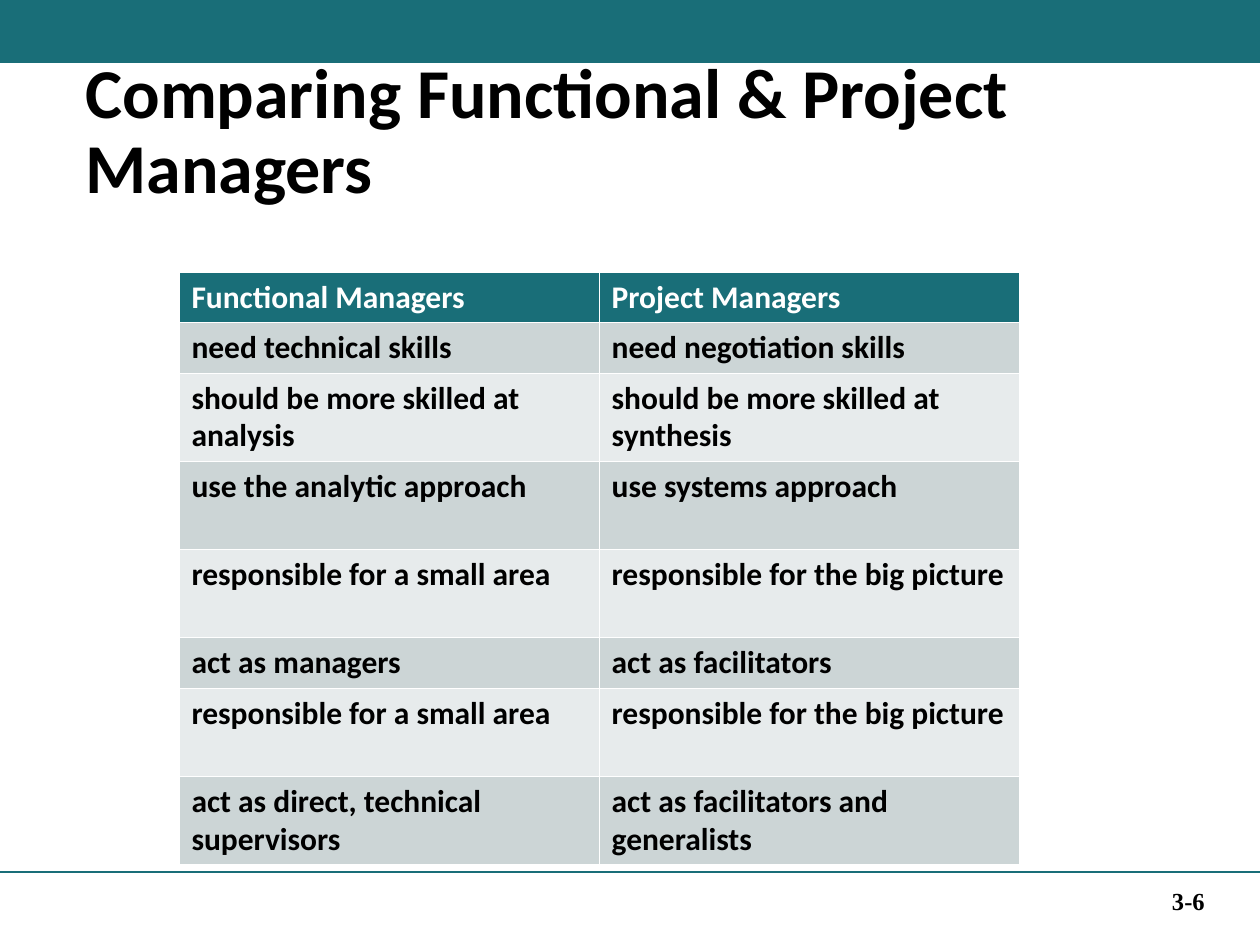
from lxml import etree
from pptx import Presentation
from pptx.dml.color import RGBColor
from pptx.enum.shapes import MSO_CONNECTOR, MSO_SHAPE
from pptx.enum.text import MSO_ANCHOR, PP_ALIGN
from pptx.oxml.ns import qn
from pptx.util import Inches, Pt

TEAL = RGBColor(0x19, 0x6E, 0x78)
WHITE = RGBColor(0xFF, 0xFF, 0xFF)
BLACK = RGBColor(0x00, 0x00, 0x00)
BAND_DARK = RGBColor(0xCC, 0xD5, 0xD6)
BAND_LIGHT = RGBColor(0xE7, 0xEB, 0xEC)

RECTANGLE = MSO_SHAPE.RECTANGLE
STRAIGHT = MSO_CONNECTOR.STRAIGHT
MIDDLE = MSO_ANCHOR.MIDDLE
TOP = MSO_ANCHOR.TOP
LEFT = PP_ALIGN.LEFT
RIGHT = PP_ALIGN.RIGHT

TITLE_FONT = {"name": "Calibri", "size": Pt(40), "bold": True}
CELL_FONT = {"name": "Calibri", "size": Pt(18), "bold": True}
NUMBER_FONT = {"name": "Times New Roman", "size": Pt(14), "bold": True}

SHORT_ROW, TALL_ROW = 0.4, 0.7
THIN, MEDIUM = 0.23, 0.75

# Row height, functional managers, project managers
COMPARISON = [
    (SHORT_ROW, "Functional Managers", "Project Managers"),
    (SHORT_ROW, "need technical skills", "need negotiation skills"),
    (TALL_ROW, "should be more skilled at analysis", "should be more skilled at synthesis"),
    (TALL_ROW, "use the analytic approach", "use systems approach"),
    (TALL_ROW, "responsible for a small area", "responsible for the big picture"),
    (SHORT_ROW, "act as managers", "act as facilitators"),
    (TALL_ROW, "responsible for a small area", "responsible for the big picture"),
    (TALL_ROW, "act as direct, technical supervisors", "act as facilitators and generalists"),
]


def write_text(frame, text, font, color, spacing=1.0, align=LEFT):
    paragraph = frame.paragraphs[0]
    paragraph.alignment = align
    paragraph.line_spacing = spacing
    run = paragraph.add_run()
    run.text = text
    for attribute, value in font.items():
        setattr(run.font, attribute, value)
    run.font.color.rgb = color


def add_text(slide, box, text, font, anchor=TOP, **layout):
    frame = slide.shapes.add_textbox(*map(Inches, box)).text_frame
    frame.word_wrap = True
    frame.vertical_anchor = anchor
    write_text(frame, text, font, BLACK, **layout)


def add_top_band(slide):
    band = slide.shapes.add_shape(RECTANGLE, 0, 0, Inches(10), Inches(0.5))
    band.shadow.inherit = False
    band.fill.solid()
    band.fill.fore_color.rgb = TEAL
    band.line.fill.background()


def add_footer_rule(slide):
    rule = slide.shapes.add_connector(
        STRAIGHT, 0, Inches(6.92), Inches(10), Inches(6.92))
    rule.line.color.rgb = TEAL
    rule.line.width = Pt(1)
    etree.SubElement(rule.element.spPr, qn("a:effectLst"))


def set_borders(cell, widths):
    properties = cell._tc.get_or_add_tcPr()
    for side, width in widths.items():
        border = etree.SubElement(properties, qn(f"a:ln{side}"), w=str(Pt(width)))
        fill = etree.SubElement(border, qn("a:solidFill"))
        etree.SubElement(fill, qn("a:srgbClr"), val=str(WHITE))


def style_cell(cell, text, row):
    header = row == 0
    set_borders(cell, {"L": THIN, "R": THIN,
                       "T": MEDIUM if row == 1 else THIN,
                       "B": MEDIUM if header else THIN})
    cell.fill.solid()
    cell.fill.fore_color.rgb = TEAL if header else (BAND_LIGHT, BAND_DARK)[row % 2]
    write_text(cell.text_frame, text, CELL_FONT,
               WHITE if header else BLACK, spacing=0.98)


def add_comparison_table(slide):
    total_height = sum(height for height, *_ in COMPARISON)
    table = slide.shapes.add_table(
        len(COMPARISON), 2, Inches(1.42), Inches(2.16),
        Inches(6.67), Inches(total_height)).table
    for row, (height, *texts) in enumerate(COMPARISON):
        table.rows[row].height = Inches(height)
        for column, text in enumerate(texts):
            style_cell(table.cell(row, column), text, row)


def main():
    presentation = Presentation()
    presentation.slide_width = Inches(10)
    presentation.slide_height = Inches(7.5)
    slide = presentation.slides.add_slide(presentation.slide_layouts[6])

    # Page frame
    add_top_band(slide)
    add_footer_rule(slide)

    # Title and page number
    add_text(slide, (0.58, 0.41, 9.34, 1.09),
             "Comparing Functional & Project Managers", TITLE_FONT, spacing=0.9)
    add_text(slide, (7.06, 6.95, 2.6, 0.4), "3-6", NUMBER_FONT,
             anchor=MIDDLE, align=RIGHT)

    # Comparison of the two roles
    add_comparison_table(slide)

    presentation.save("out.pptx")


if __name__ == "__main__":
    main()
